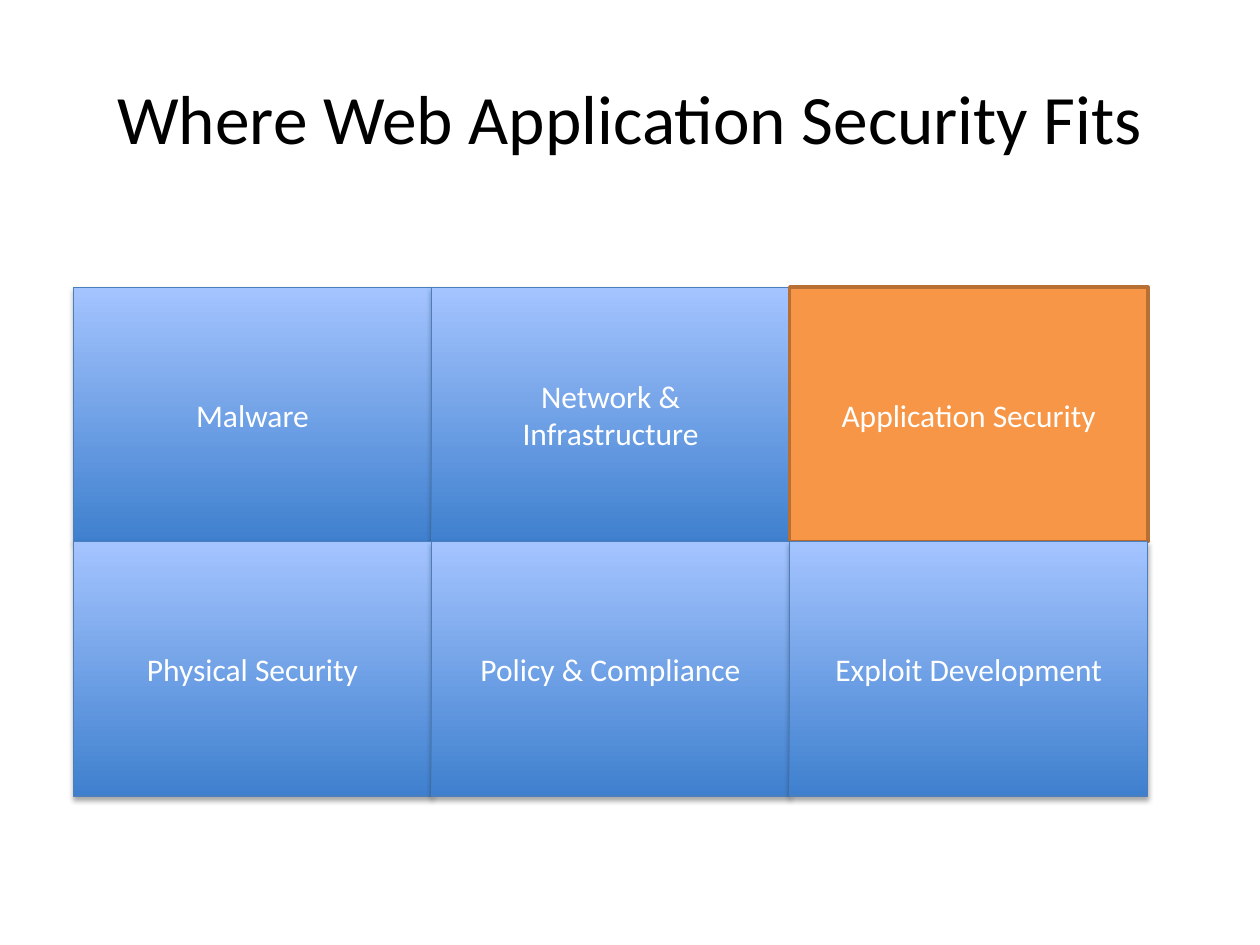
"""Build a slide showing where web application security fits among security fields."""
from lxml.etree import SubElement
from pptx import Presentation
from pptx.dml.color import RGBColor
from pptx.enum.shapes import MSO_SHAPE as Shape
from pptx.enum.text import MSO_ANCHOR as Anchor, PP_ALIGN as Align
from pptx.oxml.ns import qn
from pptx.util import Cm, Pt

TITLE = "Where Web Application Security Fits"
FIELDS = [
    ["Malware", "Network &\nInfrastructure", "Application Security"],
    ["Physical Security", "Policy & Compliance", "Exploit Development"],
]
FOCUS = "Application Security"

FONT = "Calibri"
BLACK = RGBColor(0x00, 0x00, 0x00)
WHITE = RGBColor(0xFF, 0xFF, 0xFF)
DARK_BLUE = RGBColor(0x3F, 0x80, 0xCE)
LIGHT_BLUE = RGBColor(0xA4, 0xC4, 0xFF)
BLUE_EDGE = RGBColor(0x4B, 0x7E, 0xBC)
ORANGE = RGBColor(0xF7, 0x96, 0x46)
ORANGE_EDGE = RGBColor(0xB7, 0x6F, 0x34)

GRID_LEFT, GRID_TOP = 1.48, 5.79
TILE_WIDTH, TILE_HEIGHT = 7.22, 5.13


def write(frame, text, size, color):
    frame.text = text
    frame.word_wrap = True
    frame.vertical_anchor = Anchor.MIDDLE
    for paragraph in frame.paragraphs:
        paragraph.alignment = Align.CENTER
        for run in paragraph.runs:
            run.font.name = FONT
            run.font.size = Pt(size)
            run.font.color.rgb = color


def add_drop_shadow(tile):
    effects = tile._element.spPr.find(qn("a:effectLst"))
    shadow = SubElement(effects, qn("a:outerShdw"), blurRad=str(Pt(3.1)),
                        dist=str(Pt(1.8)), dir="5400000", rotWithShape="0")
    color = SubElement(shadow, qn("a:srgbClr"), val=str(BLACK))
    SubElement(color, qn("a:alpha"), val="35000")


def paint(tile, focused):
    tile.shadow.inherit = False
    if focused:
        tile.fill.solid()
        tile.fill.fore_color.rgb = ORANGE
    else:
        tile.fill.gradient()
        tile.fill.gradient_angle = 90
        for stop, color in zip(tile.fill.gradient_stops, (DARK_BLUE, LIGHT_BLUE)):
            stop.color.rgb = color
        add_drop_shadow(tile)
    tile.line.color.rgb = ORANGE_EDGE if focused else BLUE_EDGE
    tile.line.width = Pt(2 if focused else 0.75)


def main():
    deck = Presentation()
    deck.slide_width, deck.slide_height = Cm(25.4), Cm(19.05)
    slide = deck.slides.add_slide(deck.slide_layouts[5])

    title = slide.shapes.title
    title.left, title.top = Cm(1.27), Cm(0.76)
    title.width, title.height = Cm(22.86), Cm(3.18)
    write(title.text_frame, TITLE, 39.6, BLACK)

    for row, fields in enumerate(FIELDS):
        for column, field in enumerate(fields):
            tile = slide.shapes.add_shape(
                Shape.RECTANGLE,
                Cm(GRID_LEFT + column * TILE_WIDTH), Cm(GRID_TOP + row * TILE_HEIGHT),
                Cm(TILE_WIDTH), Cm(TILE_HEIGHT))
            paint(tile, field == FOCUS)
            write(tile.text_frame, field, 18, WHITE)

    deck.save("out.pptx")


if __name__ == "__main__":
    main()
